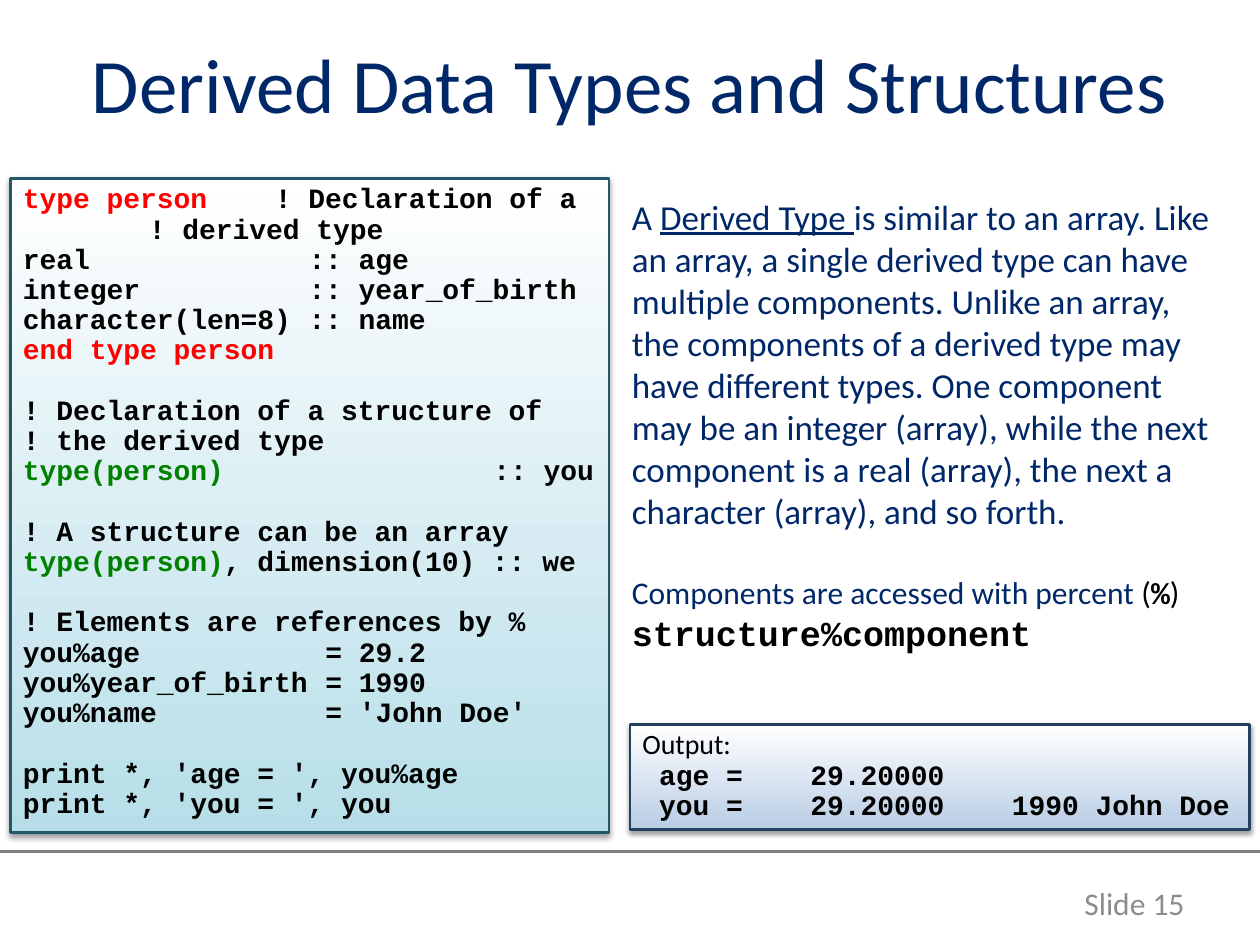
from lxml import etree
from pptx import Presentation
from pptx import util as u
from pptx.dml.color import RGBColor
from pptx.enum import shapes, text
from pptx.oxml.ns import qn

NAVY = RGBColor(0x00, 0x28, 0x68)
BLACK = RGBColor(0x00, 0x00, 0x00)
WHITE = RGBColor(0xFF, 0xFF, 0xFF)
RED = RGBColor(0xFF, 0x00, 0x00)
GREEN = RGBColor(0x00, 0x80, 0x00)
GRAY = RGBColor(0x80, 0x80, 0x80)
PALE_GRAY = RGBColor(0x8C, 0x8C, 0x8C)
AQUA = RGBColor(0xB7, 0xDE, 0xE8)
TEAL = RGBColor(0x21, 0x59, 0x68)
SKY = RGBColor(0xB9, 0xCD, 0xE5)
DARK_BLUE = RGBColor(0x25, 0x40, 0x61)

SANS, MONO = "Calibri", "Courier New"
CELL = u.Inches(1) / 12  # the page is a grid of 120 columns by 90 rows
CODE_SIZE = 16
CODE_CHAR = CODE_SIZE * 0.6  # width of one code character in points
CODE_GAP = 17.3  # one code line


def grid(*cells):
    return [round(cell * CELL) for cell in cells]


def add_span(para, words, size, color, font=SANS, bold=False, underline=False):
    span = para.add_run()
    span.text = words
    span.font.size = u.Pt(size)
    span.font.name = font
    span.font.bold = bold
    span.font.underline = underline
    span.font.color.rgb = color


def next_para(frame, gap=0):
    """Return the empty first paragraph, or a new one after a gap in points."""
    first = frame.paragraphs[0]
    para = frame.add_paragraph() if first.runs else first
    para.space_before = u.Pt(gap)
    para.alignment = text.PP_ALIGN.LEFT
    return para


def set_tabs(para, columns):
    """Set tab stops at the given code columns."""
    stops = etree.SubElement(para._p.get_or_add_pPr(), qn("a:tabLst"))
    for column in columns:
        position = u.Pt(column * CODE_CHAR)
        etree.SubElement(stops, qn("a:tab"), pos=str(position), algn="l")


def add_code_line(frame, spans, tabs=(), gap=0):
    para = next_para(frame, gap)
    para.line_spacing = 0.9
    if tabs:
        set_tabs(para, tabs)
    for words, color in spans:
        add_span(para, words, CODE_SIZE, color, MONO, bold=True)


def add_text_box(page, box, anchor=text.MSO_ANCHOR.TOP):
    frame = page.shapes.add_textbox(*grid(*box)).text_frame
    frame.word_wrap = True
    frame.vertical_anchor = anchor
    return frame


def add_panel(page, box, tint, edge):
    """Gradient rectangle with a soft shadow below it."""
    panel = page.shapes.add_shape(shapes.MSO_SHAPE.RECTANGLE, *grid(*box))
    panel.fill.gradient()
    panel.fill.gradient_angle = 90
    for stop, color, place in zip(panel.fill.gradient_stops, (tint, WHITE), (0, 1)):
        stop.color.rgb = color
        stop.position = place
    panel.line.color.rgb = edge
    panel.line.width = u.Pt(1.5)
    panel.shadow.inherit = False
    effects = panel._element.spPr.find(qn("a:effectLst"))
    shadow = etree.SubElement(
        effects, qn("a:outerShdw"), blurRad=str(u.Pt(3.1)),
        dist=str(u.Pt(1.6)), dir="5400000", rotWithShape="0")
    shade = etree.SubElement(shadow, qn("a:srgbClr"), val=str(BLACK))
    etree.SubElement(shade, qn("a:alpha"), val="38000")
    frame = panel.text_frame
    frame.word_wrap = True
    frame.vertical_anchor = text.MSO_ANCHOR.TOP
    return frame


def add_title(page, box):
    para = next_para(add_text_box(page, box, text.MSO_ANCHOR.MIDDLE))
    para.alignment = text.PP_ALIGN.CENTER
    add_span(para, "Derived Data Types and Structures", 44, NAVY)


def add_code_panel(page, box):
    frame = add_panel(page, box, AQUA, TEAL)
    fields, comments, values = [17], [7.5, 15], [18]
    # Each line: spans, tab columns, gap above
    lines = [
        ([("type person", RED), ("\t! Declaration of a", BLACK)], comments, 0),
        ([("\t! derived type", BLACK)], comments, 0),
        ([("real\t:: age", BLACK)], fields, 0),
        ([("integer\t:: year_of_birth", BLACK)], fields, 0),
        ([("character(len=8)\t:: name", BLACK)], fields, 0),
        ([("end type person", RED)], [], 0),
        ([("! Declaration of a structure of", BLACK)], [], CODE_GAP),
        ([("! the derived type", BLACK)], [], 0),
        ([("type(person)", GREEN), ("\t:: you", BLACK)], [28], 0),
        ([("! A structure can be an array", BLACK)], [], CODE_GAP),
        ([("type(person)", GREEN), (", dimension(10) :: we", BLACK)], [], 0),
        ([("! Elements are references by %", BLACK)], [], CODE_GAP),
        ([("you%age\t= 29.2", BLACK)], values, 0),
        ([("you%year_of_birth\t= 1990", BLACK)], values, 0),
        ([("you%name\t= 'John Doe'", BLACK)], values, 0),
        ([("print *, 'age = ', you%age", BLACK)], [], CODE_GAP),
        ([("print *, 'you = ', you", BLACK)], [], 0),
    ]
    for spans, tabs, gap in lines:
        add_code_line(frame, spans, tabs, gap)


def add_explanation(page, box):
    frame = add_text_box(page, box)
    para = next_para(frame)
    add_span(para, "A ", 20, NAVY)
    add_span(para, "Derived Type ", 20, NAVY, underline=True)
    add_span(para, "is similar to an array. Like an array, a single derived type "
             "can have multiple components. Unlike an array, the components of a "
             "derived type may have different types. One component may be an "
             "integer (array), while the next component is a real (array), the "
             "next a character (array), and so forth.", 20, NAVY)
    para = next_para(frame, gap=24)
    add_span(para, "Components are accessed with percent ", 18, NAVY)
    add_span(para, "(", 18, BLACK)
    add_span(para, "%", 18, BLACK, MONO, bold=True)
    add_span(para, ")", 18, BLACK)
    add_span(next_para(frame), "structure%component", 20, BLACK, MONO, bold=True)


def add_output_panel(page, box):
    frame = add_panel(page, box, SKY, DARK_BLUE)
    heading = next_para(frame)
    heading.line_spacing = 0.9
    add_span(heading, "Output:", CODE_SIZE, BLACK)
    for line in (" age =\t29.20000", " you =\t29.20000\t1990 John Doe"):
        add_code_line(frame, [(line, BLACK)], tabs=[10, 22])


def add_footer(page, rule_row, box):
    left, right, row = grid(0, 120, rule_row)
    rule = page.shapes.add_connector(
        shapes.MSO_CONNECTOR.STRAIGHT, left, row, right, row)
    rule.line.color.rgb = GRAY
    rule.line.width = u.Pt(2)
    etree.SubElement(rule._element.spPr, qn("a:effectLst"))
    para = next_para(add_text_box(page, box, text.MSO_ANCHOR.MIDDLE))
    para.alignment = text.PP_ALIGN.RIGHT
    add_span(para, "Slide 15", 18, PALE_GRAY)


def main():
    deck = Presentation()
    deck.slide_width, deck.slide_height = grid(120, 90)
    page = deck.slides.add_slide(deck.slide_layouts[6])
    # Boxes are left, top, width, height in grid cells
    add_footer(page, 81.1, (101, 83.6, 13, 4.8))
    add_title(page, (6, 0.4, 108, 15))
    add_code_panel(page, (1, 17, 57, 62.3))
    add_explanation(page, (59, 18, 59, 45.2))
    add_output_panel(page, (60, 69, 59, 10))
    deck.save("out.pptx")


if __name__ == "__main__":
    main()
